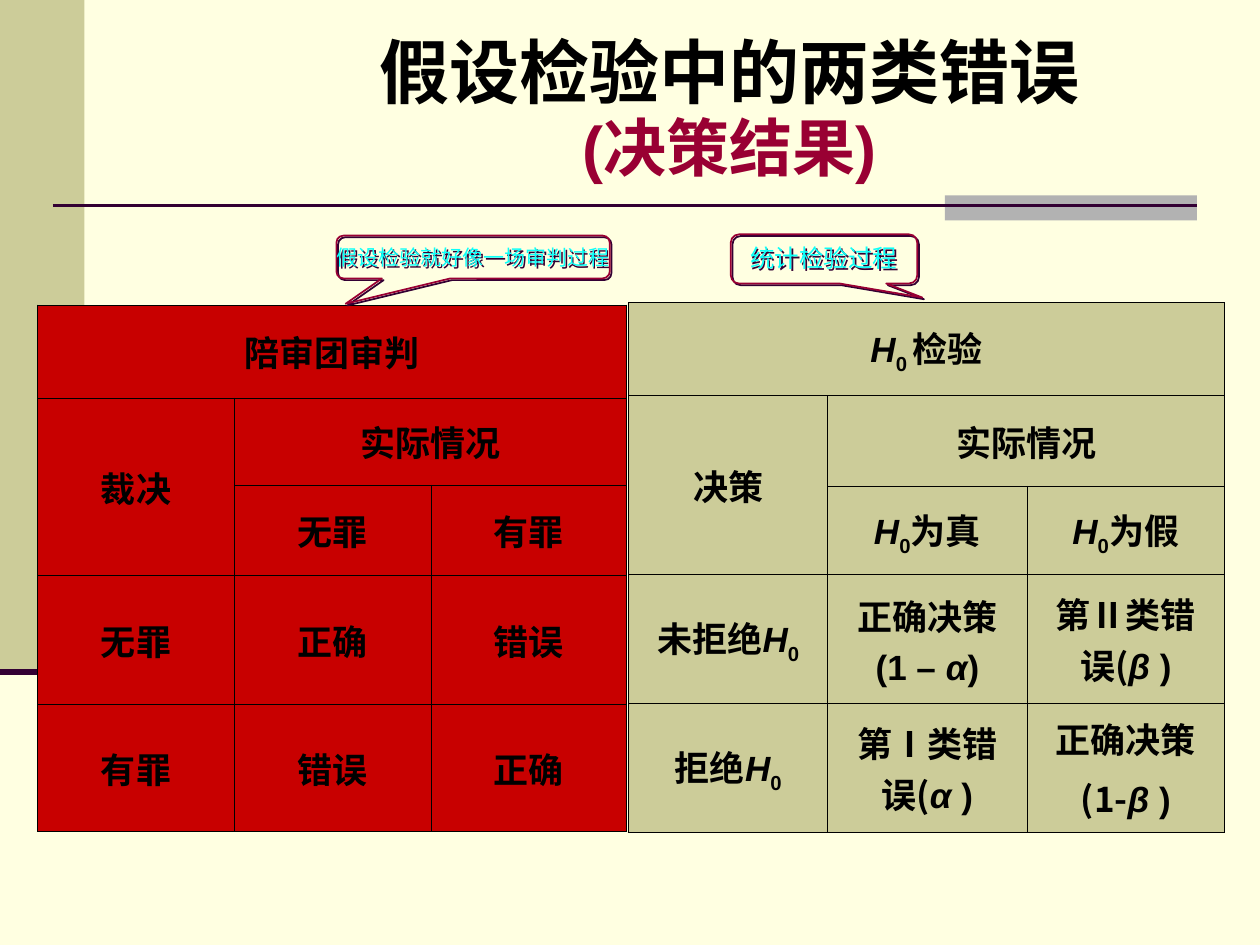
from dataclasses import dataclass

from lxml import etree
from pptx import Presentation
from pptx.dml.color import RGBColor
from pptx.enum.shapes import MSO_CONNECTOR, MSO_SHAPE
from pptx.enum.text import MSO_ANCHOR, MSO_AUTO_SIZE, PP_ALIGN
from pptx.oxml.ns import qn
from pptx.util import Inches, Pt

STRAIGHT = MSO_CONNECTOR.STRAIGHT
RECT, CALLOUT = MSO_SHAPE.RECTANGLE, MSO_SHAPE.ROUNDED_RECTANGULAR_CALLOUT
MIDDLE, TOP = MSO_ANCHOR.MIDDLE, MSO_ANCHOR.TOP
CENTER = PP_ALIGN.CENTER
NO_FIT = MSO_AUTO_SIZE.NONE


@dataclass(frozen=True)
class Theme:
    back: str = "FFFFE1"
    sand: str = "CCCC99"
    gray: str = "B2B2B2"
    plum: str = "330033"
    wine: str = "990033"
    red: str = "C80000"
    black: str = "000000"
    cyan: str = "0BFFF9"
    head: int = 40
    sub: int = 36
    body: int = 20
    note: int = 14
    small: int = 12
    latin: str = "Arial"
    han: str = "Noto Sans CJK SC"


THEME = Theme()


@dataclass(frozen=True)
class Run:
    text: str
    italic: bool = False
    low: bool = False
    font: str = THEME.latin


@dataclass(frozen=True)
class Cell:
    row: int
    col: int
    lines: tuple
    down: int = 1
    wide: int = 1


@dataclass(frozen=True)
class Grid:
    box: tuple
    cols: tuple
    rows: tuple
    fill: str
    cells: tuple


@dataclass(frozen=True)
class Note:
    box: tuple
    tip: tuple
    text: str
    size: int
    wrap: bool
    anchor: MSO_ANCHOR


def han(text: str) -> Run:
    return Run(text, font=THEME.han)


def slant(text: str) -> Run:
    return Run(text, italic=True)


def null(tail: str = "0") -> tuple:
    return slant("H"), Run(tail, low=True)


def plain(row: int, col: int, text: str, down: int = 1, wide: int = 1) -> Cell:
    return Cell(row, col, ((Run(text),),), down, wide)


BARS = (((0, 0, 0.67, 5.33), THEME.sand), ((7.5, 1.55, 2, 0.2), THEME.gray))
RULES = (((0.42, 1.63, 9.5, 1.63), 1.5), ((0, 5.33, 0.67, 5.33), 3.5))
REAL = Cell(1, 1, ((han("实际情况"),),), wide=2)
GRIDS = (
    Grid((0.3, 2.42, 4.67, 4.18), (1.56, 1.56, 1.55),
         (0.74, 0.69, 0.72, 1.02, 1.01), THEME.red, (
        Cell(0, 0, ((han("陪审团审判"),),), wide=3),
        plain(1, 0, "裁决", down=2), REAL,
        plain(2, 1, "无罪"), plain(2, 2, "有罪"),
        plain(3, 0, "无罪"), plain(3, 1, "正确"), plain(3, 2, "错误"),
        plain(4, 0, "有罪"), plain(4, 1, "错误"), plain(4, 2, "正确"))),
    Grid((4.99, 2.4, 4.73, 4.22), (1.58, 1.58, 1.57),
         (0.74, 0.72, 0.7, 1.02, 1.03), THEME.sand, (
        Cell(0, 0, ((*null("0 "), han("检验")),), wide=3),
        plain(1, 0, "决策", down=2), REAL,
        Cell(2, 1, ((*null(), Run("为真")),)),
        Cell(2, 2, ((*null(), Run("为假")),)),
        Cell(3, 0, ((Run("未拒绝"), *null()),)),
        Cell(3, 1, ((Run("正确决策"),), (Run("(1 – "), slant("α"), Run(")")))),
        Cell(3, 2, ((han("第Ⅱ类错误("), slant("β "), Run(")")),)),
        Cell(4, 0, ((Run("拒绝"), *null()),)),
        Cell(4, 1, ((han("第Ⅰ类错误("), slant("α "), Run(")")),)),
        Cell(4, 2, ((han("正确决策"),), (han("(1-"), slant("β "), Run(")")))))),
)
NOTES = (
    Note((2.67, 1.87, 2.17, 0.34), (-0.466, 1.091, 0.167),
         "假设检验就好像一场审判过程", THEME.small, False, MIDDLE),
    Note((5.8, 1.86, 1.48, 0.39), (0.527, 0.786, 0.167),
         "统计检验过程", THEME.note, True, TOP),
)


def paint(fill, color: str) -> None:
    fill.solid()
    fill.fore_color.rgb = RGBColor.from_string(color)


def add_run(para, run: Run, size: int, color: str, bold: bool = True) -> None:
    part = para.add_run()
    part.text = run.text
    font = part.font
    font.size, font.bold, font.italic, font.name = Pt(size), bold, run.italic, run.font
    font.color.rgb = RGBColor.from_string(color)
    props = part._r.get_or_add_rPr()
    if run.low:
        props.set("baseline", "-25000")
    face = etree.Element(qn("a:ea"), typeface=THEME.han)
    props.find(qn("a:latin")).addnext(face)


def add_bar(slide, box: tuple, color: str) -> None:
    bar = slide.shapes.add_shape(RECT, *map(Inches, box))
    bar.shadow.inherit = False
    paint(bar.fill, color)
    bar.line.fill.background()


def add_rule(slide, ends: tuple, width: float) -> None:
    rule = slide.shapes.add_connector(STRAIGHT, *map(Inches, ends))
    rule.line.width = Pt(width)
    rule.line.color.rgb = RGBColor.from_string(THEME.plum)
    etree.SubElement(rule._element.spPr, qn("a:effectLst"))


def add_title(slide) -> None:
    title = slide.shapes.title
    title.left, title.top, title.width, title.height = map(Inches, (2.08, 0.25, 7.42, 1.25))
    frame = title.text_frame
    frame.auto_size, frame.vertical_anchor = NO_FIT, MIDDLE
    lines = (("假设检验中的两类错误", THEME.head, THEME.black),
             ("(决策结果)", THEME.sub, THEME.wine))
    for place, (text, size, color) in enumerate(lines):
        para = frame.add_paragraph() if place else frame.paragraphs[0]
        para.alignment, para.line_spacing = CENTER, 0.95
        add_run(para, Run(text), size, color)


def add_edges(cell) -> None:
    props = cell._tc.get_or_add_tcPr()
    for side in ("a:lnL", "a:lnR", "a:lnT", "a:lnB"):
        edge = etree.SubElement(props, qn(side), w=str(Pt(0.45)))
        fill = etree.SubElement(edge, qn("a:solidFill"))
        etree.SubElement(fill, qn("a:srgbClr"), val=THEME.black)


def add_grid(slide, grid: Grid) -> None:
    size = len(grid.rows), len(grid.cols)
    table = slide.shapes.add_table(*size, *map(Inches, grid.box)).table
    for col, width in zip(table.columns, grid.cols):
        col.width = Inches(width)
    for row, height in zip(table.rows, grid.rows):
        row.height = Inches(height)
    for cell in table.iter_cells():
        add_edges(cell)
        paint(cell.fill, grid.fill)
    for item in grid.cells:
        cell = table.cell(item.row, item.col)
        if item.down * item.wide > 1:
            cell.merge(table.cell(item.row + item.down - 1, item.col + item.wide - 1))
        cell.vertical_anchor = MIDDLE
        frame = cell.text_frame
        for place, line in enumerate(item.lines):
            para = frame.add_paragraph() if place else frame.paragraphs[0]
            para.alignment = CENTER
            if place:
                para.space_before = Pt(5)
            for run in line:
                add_run(para, run, THEME.body, THEME.black)


def add_note(slide, note: Note) -> None:
    shape = slide.shapes.add_shape(CALLOUT, *map(Inches, note.box))
    for place, value in enumerate(note.tip):
        shape.adjustments[place] = value
    shape.fill.background()
    shape.line.width = Pt(1)
    shape.line.color.rgb = RGBColor.from_string(THEME.wine)
    shape.shadow.inherit = False
    shade = etree.SubElement(shape._element.spPr.find(qn("a:effectLst")), qn("a:outerShdw"),
                             blurRad="0", dist=str(Pt(1.4)), dir="2700000")
    etree.SubElement(shade, qn("a:srgbClr"), val=THEME.plum)
    frame = shape.text_frame
    frame.word_wrap, frame.vertical_anchor = note.wrap, note.anchor
    para = frame.paragraphs[0]
    para.alignment = CENTER
    add_run(para, Run(note.text), note.size, THEME.cyan, bold=False)


def main() -> None:
    """Build the slide on the two kinds of error in testing."""
    deck = Presentation()
    deck.slide_width, deck.slide_height = Inches(10), Inches(7.5)
    slide = deck.slides.add_slide(deck.slide_layouts[5])
    paint(slide.background.fill, THEME.back)
    for box, color in BARS:
        add_bar(slide, box, color)
    for ends, width in RULES:
        add_rule(slide, ends, width)
    add_title(slide)
    for grid in GRIDS:
        add_grid(slide, grid)
    for note in NOTES:
        add_note(slide, note)
    deck.save("out.pptx")


if __name__ == "__main__":
    main()
